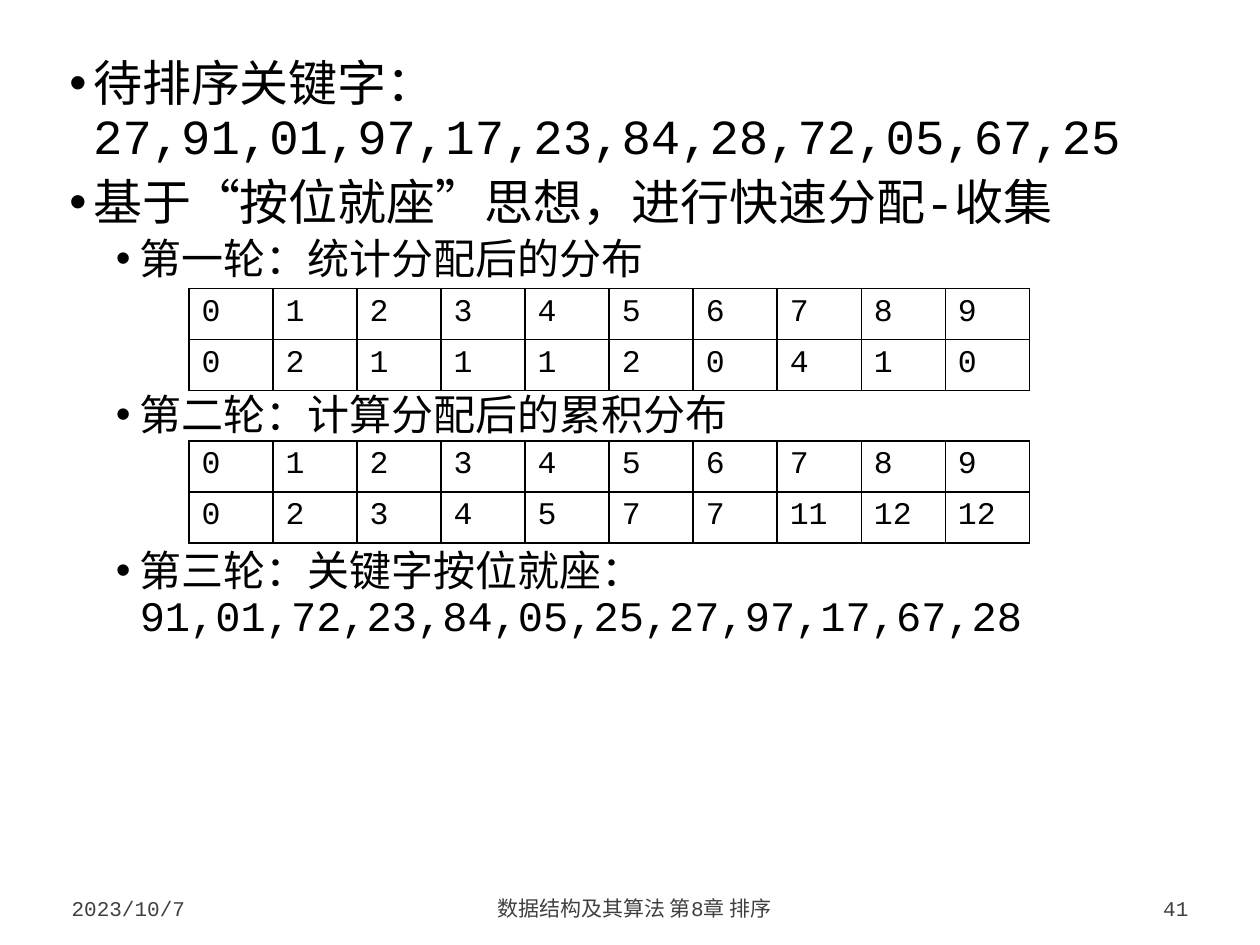
from lxml.etree import SubElement
from pptx import Presentation
from pptx.dml.color import RGBColor
from pptx.enum.lang import MSO_LANGUAGE_ID
from pptx.enum.text import MSO_ANCHOR, PP_ALIGN
from pptx.oxml.ns import qn
from pptx.util import Inches, Pt

BLACK = RGBColor(0x00, 0x00, 0x00)
GRAY = RGBColor(0x40, 0x40, 0x40)
FONT = "Courier New"
WIDTH, HEIGHT = Inches(10), Inches(7.5)
DIGITS = range(10)
TABLE_GAP = 63.2  # points left free between rounds for a table

# Text, level, points before
OUTLINE = [
    ("待排序关键字：27,91,01,97,17,23,84,28,72,05,67,25", 0, 7.5),
    ("基于“按位就座”思想，进行快速分配-收集", 0, 7.5),
    ("第一轮：统计分配后的分布", 1, 3.8),
    ("第二轮：计算分配后的累积分布", 1, TABLE_GAP),
    ("第三轮：关键字按位就座：91,01,72,23,84,05,25,27,97,17,67,28", 1, TABLE_GAP),
]
LEVEL_SIZES = (28, 24)
LEVEL_INDENTS = (0.19, 0.56)
COUNTS = [0, 2, 1, 1, 1, 2, 0, 4, 1, 0]
TOTALS = [0, 2, 3, 4, 5, 7, 7, 11, 12, 12]


def share(left, top, width, height):
    """Turn inches on the 10 by 7.5 slide into a box scaled to its size."""
    return (int(WIDTH * left / 10), int(HEIGHT * top / 7.5),
            int(WIDTH * width / 10), int(HEIGHT * height / 7.5))


def write(para, text, size=18, color=BLACK, align=PP_ALIGN.LEFT):
    """Write one formatted span into a paragraph."""
    para.alignment = align
    span = para.add_run()
    span.text = text
    span.font.name = FONT
    span.font.size = Pt(size)
    span.font.color.rgb = color
    span.font.language_id = MSO_LANGUAGE_ID.SIMPLIFIED_CHINESE


def add_bullet(para, indent):
    """Give a paragraph a hanging bullet."""
    props = para._p.get_or_add_pPr()
    props.set("marL", str(Inches(indent)))
    props.set("indent", str(-Inches(0.19)))
    SubElement(props, qn("a:buFont")).set("typeface", "Arial")
    SubElement(props, qn("a:buChar")).set("char", "•")


def add_outline(page, box, items):
    """Place the bulleted outline in a box."""
    frame = page.shapes.add_textbox(*box).text_frame
    frame.word_wrap = True
    frame.margin_left = frame.margin_right = Inches(0.08)
    frame.margin_top = frame.margin_bottom = Inches(0.08)
    for index, (text, level, before) in enumerate(items):
        para = frame.add_paragraph() if index else frame.paragraphs[0]
        para.level = level
        para.line_spacing = 0.9
        para.space_before = Pt(before)
        add_bullet(para, LEVEL_INDENTS[level])
        write(para, text, size=LEVEL_SIZES[level])


def add_borders(cell):
    """Draw thin black lines on all sides of a cell."""
    props = cell._tc.get_or_add_tcPr()
    for side in ("lnL", "lnR", "lnT", "lnB"):
        line = SubElement(props, qn(f"a:{side}"), w=str(Pt(1)))
        fill = SubElement(line, qn("a:solidFill"))
        SubElement(fill, qn("a:srgbClr"), val=str(BLACK))


def add_digit_table(page, box, values):
    """Place a table of digits and their values, with equal cells."""
    rows = (DIGITS, values)
    table = page.shapes.add_table(len(rows), len(DIGITS), *box).table
    table.first_row = table.horz_banding = False
    for row, numbers in enumerate(rows):
        for column, number in enumerate(numbers):
            cell = table.cell(row, column)
            add_borders(cell)
            cell.fill.background()
            write(cell.text_frame.paragraphs[0], str(number))


def add_footer(page, box, parts):
    """Place the footer texts along a strip; each has its own offset and width."""
    left, top, _, height = box
    for text, offset, width, align in parts:
        frame = page.shapes.add_textbox(
            left + Inches(offset), top, Inches(width), height).text_frame
        frame.word_wrap = True
        frame.vertical_anchor = MSO_ANCHOR.BOTTOM
        write(frame.paragraphs[0], text, size=12, color=GRAY, align=align)


def main():
    """Build and save the slide."""
    deck = Presentation()
    deck.slide_width, deck.slide_height = WIDTH, HEIGHT
    page = deck.slides.add_slide(deck.slide_layouts[6])
    add_outline(page, share(0.47, 0.39, 9.06, 6.42), OUTLINE)
    add_footer(page, share(0.47, 6.97, 9.06, 0.39), [
        ("2023/10/7", 0, 1.25, PP_ALIGN.LEFT),
        ("数据结构及其算法 第8章 排序", 1.37, 6.39, PP_ALIGN.CENTER),
        ("41", 7.88, 1.18, PP_ALIGN.RIGHT),
    ])
    for top, values in ((2.29, COUNTS), (3.5, TOTALS)):
        add_digit_table(page, share(1.5, top, 6.67, 0.81), values)
    deck.save("out.pptx")


main()
